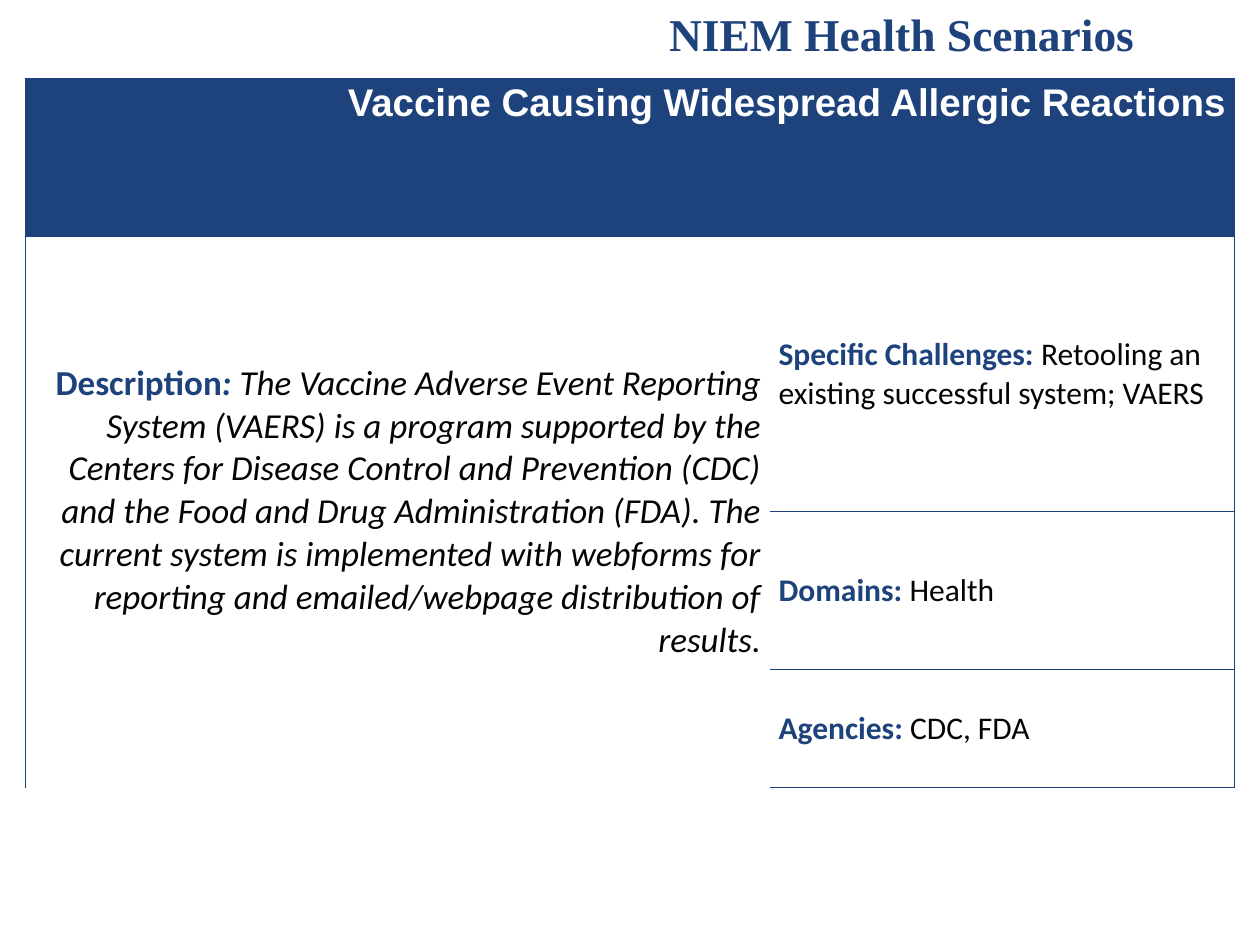
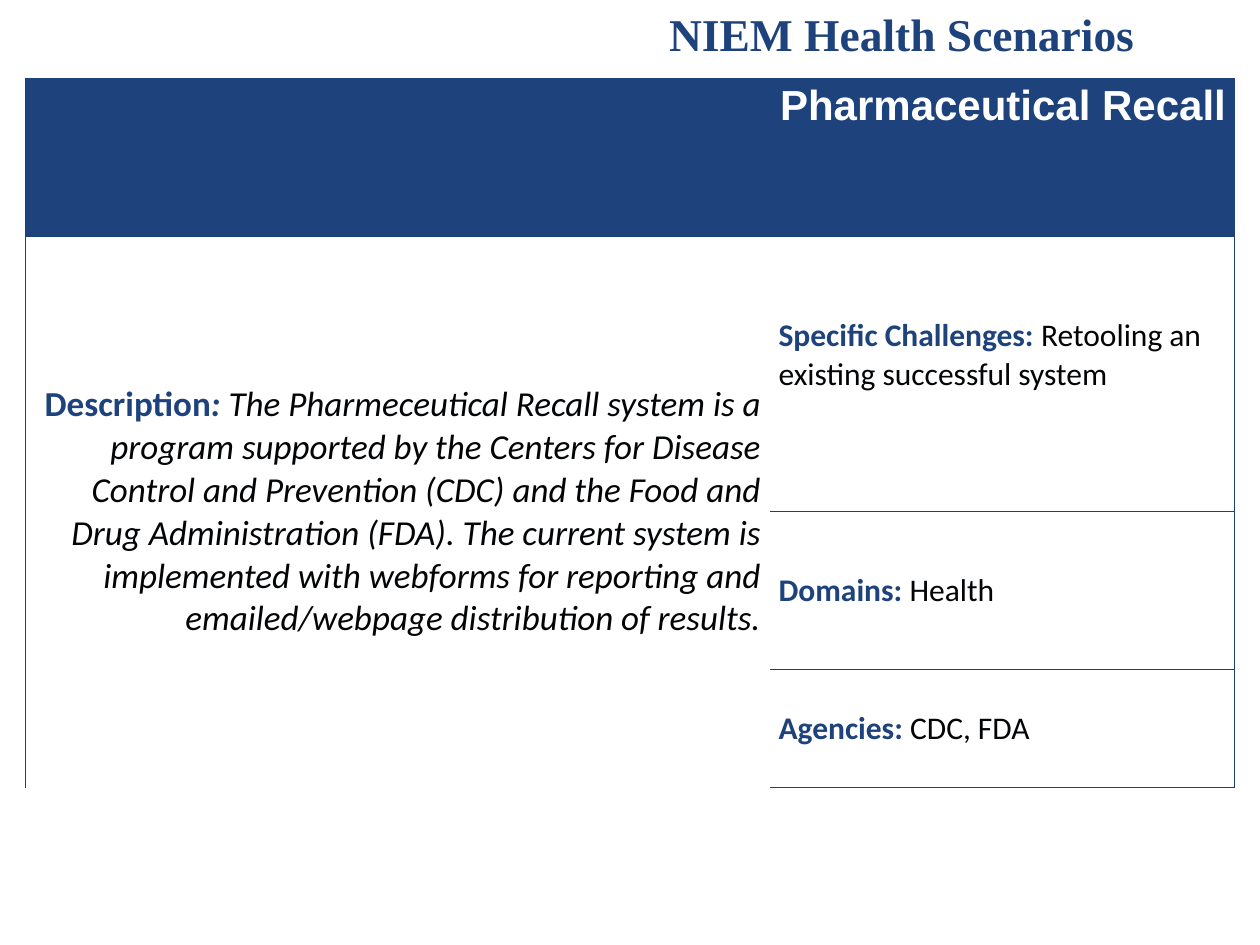
from lxml import etree
from pptx import Presentation
from pptx.dml.color import RGBColor
from pptx.enum.text import MSO_ANCHOR as Anchor, MSO_AUTO_SIZE as AutoSize, PP_ALIGN as Align
from pptx.oxml.ns import qn
from pptx.util import Inches, Pt

COLORS = {"navy": "1D427C", "rule": "1A407C", "ink": "020406", "white": "FFFFFF"}
FONTS = {"title": "Times New Roman", "band": "Arial", "body": "Calibri"}

# The slide is 24 rows high; the table starts at row 2
WIDTH, HEIGHT = Inches(10), Inches(7.5)
ROW = HEIGHT / 24
TABLE_TOP = 2
ROW_SPANS = (4, 7, 4, 3)
SIDE_MARGIN = 0.02
COLUMN_SHARES = (0.591, 0.369)
EDGES = {"L": "l", "R": "r", "T": "t", "B": "b"}

SCENARIOS = [
    {
        "name": "Vaccine Causing Widespread Allergic Reactions",
        "name_size": 22,
        "system": "The Vaccine Adverse Event Reporting System (VAERS)",
        "challenges": "Retooling an existing successful system; VAERS",
        "space_below": 0,
    },
    {
        "name": "Pharmaceutical Recall",
        "name_size": 24,
        "system": "The Pharmeceutical Recall system",
        "challenges": "Retooling an existing successful system",
        "space_below": 0.3,
    },
]
DESCRIPTION = (
    " is a program supported by the Centers for Disease Control and Prevention (CDC) "
    "and the Food and Drug Administration (FDA). The current system is implemented with "
    "webforms for reporting and emailed/webpage distribution of results."
)


def add_span(para, text, font, size, color, bold=False, italic=False):
    span = para.add_run()
    span.text = text
    span.font.name = FONTS[font]
    span.font.size = Pt(size)
    span.font.bold = bold
    span.font.italic = italic
    span.font.color.rgb = RGBColor.from_string(COLORS[color])


def add_title(page, text):
    title = page.shapes.title
    title.left, title.top = Inches(5.21), 0
    title.width, title.height = Inches(3.93), Inches(0.54)
    frame = title.text_frame
    frame.word_wrap = False
    frame.auto_size = AutoSize.SHAPE_TO_FIT_TEXT
    frame.vertical_anchor = Anchor.TOP
    para = frame.paragraphs[0]
    para.alignment = Align.LEFT
    add_span(para, text, "title", 26, "navy", bold=True)


def style_cell(cell, fill, edges):
    """Set margins, the ruled edges (letters of EDGES) and the fill."""
    cell.margin_left = cell.margin_right = Inches(0.07)
    cell.margin_top = cell.margin_bottom = 0
    properties = cell._tc.get_or_add_tcPr()
    for edge in EDGES:
        line = etree.SubElement(properties, qn(f"a:ln{edge}"), w=str(Pt(0.75)))
        if edge in edges:
            solid = etree.SubElement(line, qn("a:solidFill"))
            etree.SubElement(solid, qn("a:srgbClr"), val=COLORS["rule"])
        else:
            etree.SubElement(line, qn("a:noFill"))
    cell.fill.solid()
    cell.fill.fore_color.rgb = RGBColor.from_string(COLORS[fill])


def add_grid(page):
    """Add the table with a header band and a tall left cell."""
    left, width = WIDTH * SIDE_MARGIN, WIDTH * sum(COLUMN_SHARES)
    frame = page.shapes.add_table(
        len(ROW_SPANS), len(COLUMN_SHARES), int(left), int(TABLE_TOP * ROW),
        int(width), int(sum(ROW_SPANS) * ROW))
    table = frame.table
    table.first_row = table.horz_banding = False
    for column, share in zip(table.columns, COLUMN_SHARES):
        column.width = int(WIDTH * share)
    for row, span in zip(table.rows, ROW_SPANS):
        row.height = int(span * ROW)

    last = len(ROW_SPANS) - 1
    for index in range(len(ROW_SPANS)):
        if index == 0:
            fill, left_edges, right_edges = "navy", "LTB", "RTB"
        else:
            fill, right_edges = "white", "RTB"
            left_edges = "L" + "T" * (index == 1) + "B" * (index == last)
        style_cell(table.cell(index, 0), fill, left_edges)
        style_cell(table.cell(index, 1), fill, right_edges)
    table.cell(0, 0).merge(table.cell(0, 1))
    table.cell(1, 0).merge(table.cell(last, 0))
    return table


def fill_band(cell, text, size):
    para = cell.text_frame.paragraphs[0]
    para.alignment = Align.RIGHT
    para.line_spacing = 1.07
    add_span(para, text, "band", size, "white", bold=True)


def fill_description(cell, text):
    cell.vertical_anchor = Anchor.MIDDLE
    para = cell.text_frame.paragraphs[0]
    para.alignment = Align.RIGHT
    add_span(para, "Description", "body", 20, "navy", bold=True)
    add_span(para, ": ", "body", 20, "navy", bold=True, italic=True)
    add_span(para, text, "body", 20, "ink", italic=True)


def fill_fact(cell, label, text):
    cell.vertical_anchor = Anchor.MIDDLE
    para = cell.text_frame.paragraphs[0]
    add_span(para, f"{label}: ", "body", 18, "navy", bold=True)
    add_span(para, text, "body", 18, "ink")


def add_scenario(deck, scenario):
    page = deck.slides.add_slide(deck.slide_layouts.get_by_name("Title Only"))
    add_title(page, "NIEM Health Scenarios")
    table = add_grid(page)
    fill_band(table.cell(0, 0), scenario["name"], scenario["name_size"])
    fill_description(table.cell(1, 0), scenario["system"] + DESCRIPTION)

    # Facts in the right column
    facts = [
        ("Specific Challenges", scenario["challenges"]),
        ("Domains", "Health"),
        ("Agencies", "CDC, FDA"),
    ]
    for index, (label, text) in enumerate(facts, start=1):
        fill_fact(table.cell(index, 1), label, text)
    table.cell(1, 1).margin_bottom = Inches(scenario["space_below"])


def main():
    deck = Presentation()
    deck.slide_width, deck.slide_height = WIDTH, HEIGHT
    for scenario in SCENARIOS:
        add_scenario(deck, scenario)
    deck.save("out.pptx")


if __name__ == "__main__":
    main()
